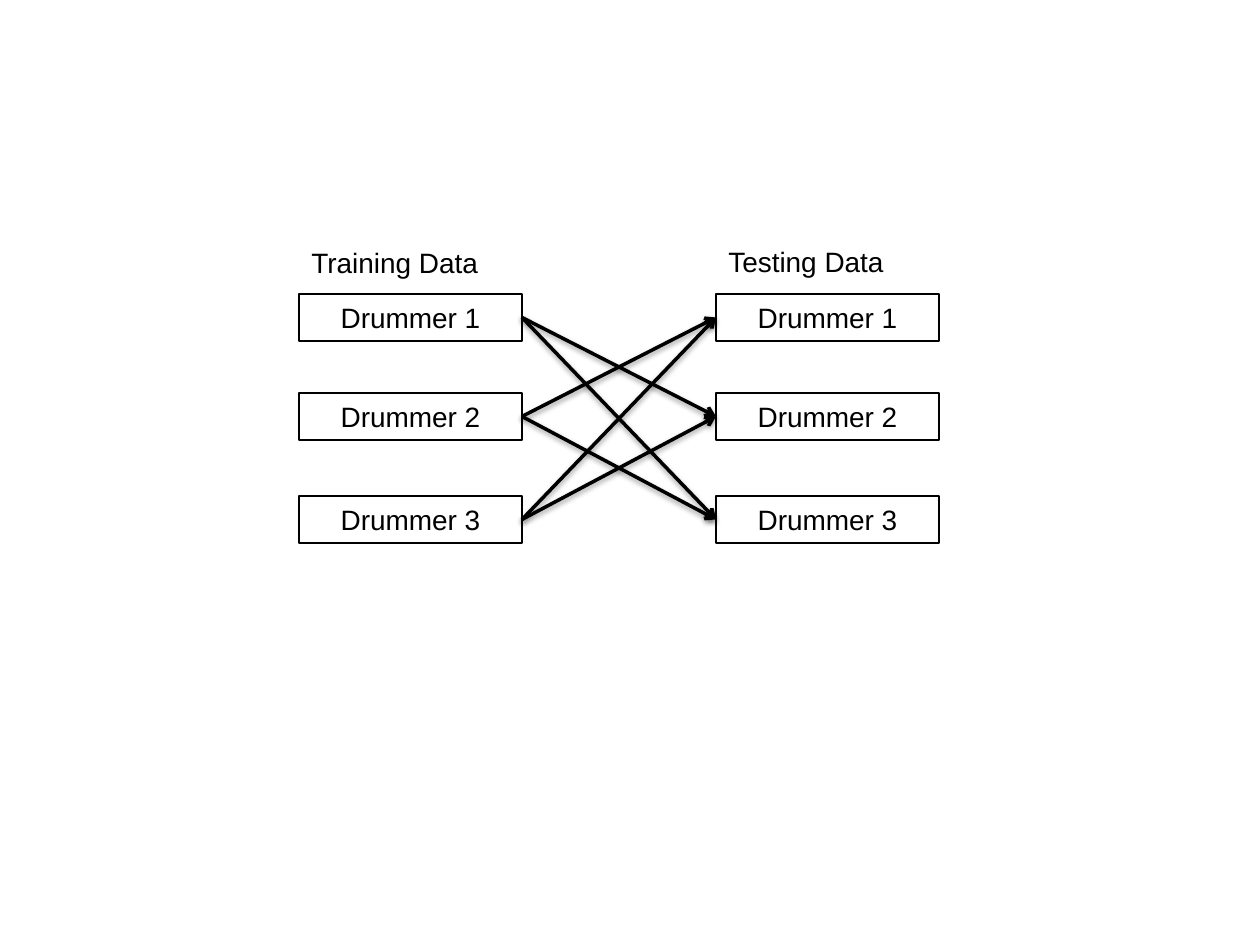
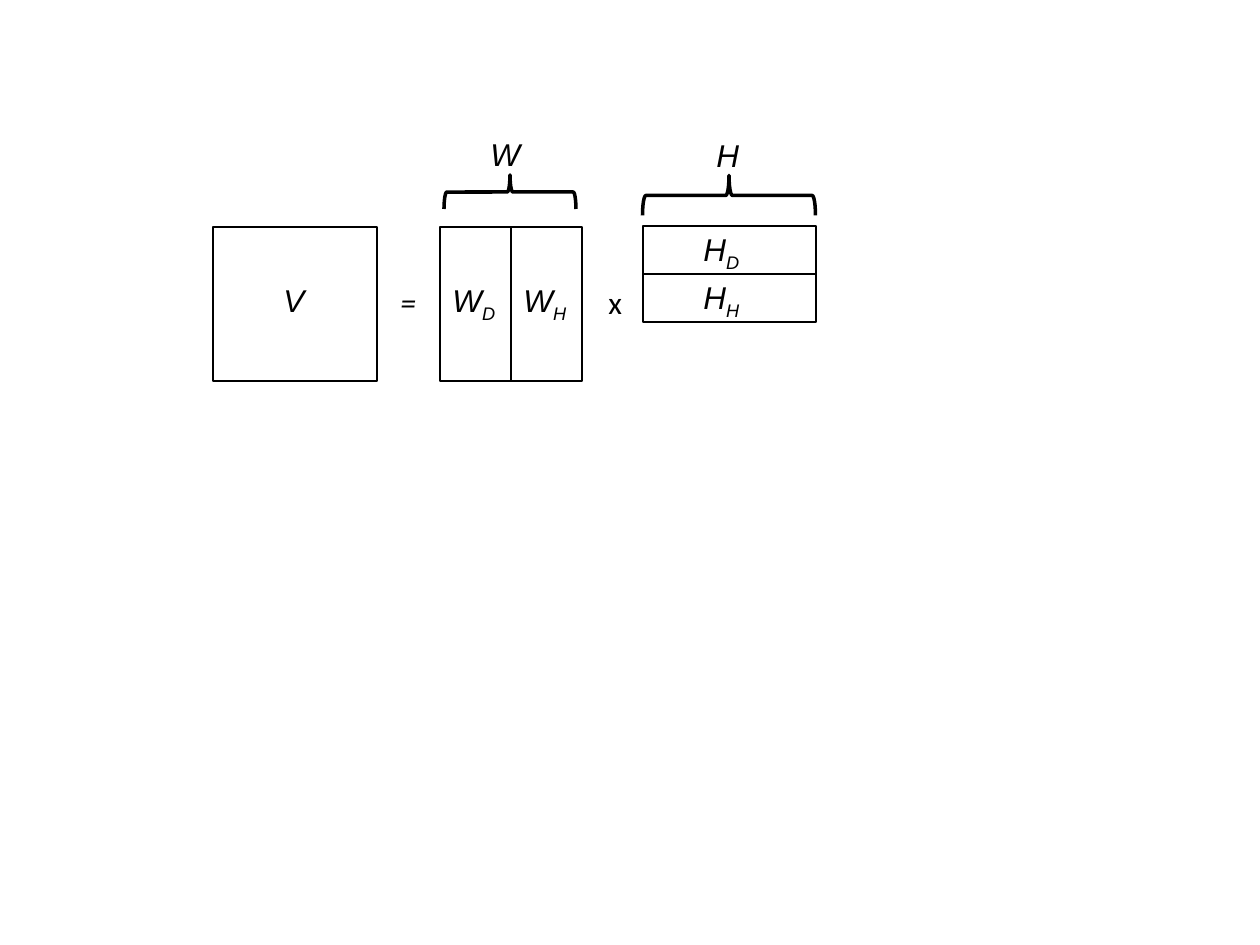
import itertools

import lxml.etree
import pptx
import pptx.dml.color
import pptx.enum.shapes
import pptx.enum.text
import pptx.oxml
import pptx.oxml.ns
import pptx.util

# Shared look
PX = 914400 // 126
INK = "000000"
THIN, THICK = 0.75, 2
SHAPES = pptx.enum.shapes.MSO_SHAPE
ALIGN = pptx.enum.text.PP_ALIGN

# Slide 1: every drummer is tested on the models of the other two
DRUMMERS = [("Drummer 1", 294), ("Drummer 2", 393), ("Drummer 3", 496)]
DRUMMER_SIZE = (223, 47)
COLUMNS = [  # heading, left, heading top, heading width
    ("Training Data", 299, 239, 194),
    ("Testing Data", 716, 238, 183),
]
LEFT_SITE, RIGHT_SITE = 1, 3

# Slide 2: V = W x H, as left, top, width, height
MATRICES = [
    (213, 227, 164, 154),
    (440, 227, 71, 154), (511, 227, 71, 154),
    (643, 226, 173, 48), (643, 274, 173, 48),
]
BRACES = [(444, 175, 132, 34), (643, 175, 173, 40)]
SYMBOLS = [  # letter, subscript, left, top, width
    ("V", "", 271, 275, 55),
    ("W", "D", 440, 275, 77), ("W", "H", 511, 275, 77),
    ("H", "D", 691, 224, 71), ("H", "H", 691, 272, 71),
    ("W", "", 478, 129, 62), ("H", "", 704, 130, 54),
]
OPERATORS = [("=", True, 388, 277, 50), ("x", False, 596, 277, 39)]
SYMBOL_HEIGHT = 50


def colour(value):
    return pptx.dml.color.RGBColor.from_string(value)


def px(*lengths):
    return [pptx.util.Emu(length * PX) for length in lengths]


def add_outline(slide, preset, box, weight):
    shape = slide.shapes.add_shape(preset, *px(*box))
    shape.shadow.inherit = False
    shape.fill.background()
    shape.line.color.rgb = colour(INK)
    shape.line.width = pptx.util.Pt(weight)
    return shape


def write(shape, text, size, font="Arial", italic=False, subscript="",
          align=ALIGN.LEFT, wrap=False):
    frame = shape.text_frame
    frame.word_wrap = wrap
    frame.auto_size = pptx.enum.text.MSO_AUTO_SIZE.SHAPE_TO_FIT_TEXT
    paragraph = frame.paragraphs[0]
    paragraph.alignment = align
    paragraph.font.name = font
    paragraph.font.size = pptx.util.Pt(size)
    paragraph.font.italic = italic
    paragraph.font.color.rgb = colour(INK)
    paragraph.add_run().text = text
    if subscript:
        run = paragraph.add_run()
        run.text = subscript
        run._r.get_or_add_rPr().set("baseline", "-25000")


def add_label(slide, box, text, size, **style):
    write(slide.shapes.add_textbox(*px(*box)), text, size, **style)


def add_arrow(slide, source, target):
    arrow = slide.shapes.add_connector(
        pptx.enum.shapes.MSO_CONNECTOR.STRAIGHT, 0, 0, 0, 0)
    arrow.begin_connect(source, RIGHT_SITE)
    arrow.end_connect(target, LEFT_SITE)
    arrow.line.color.rgb = colour(INK)
    arrow.line.width = pptx.util.Pt(THICK)
    # Arrowhead and soft shadow below the line
    lxml.etree.SubElement(arrow.line._get_or_add_ln(),
                          pptx.oxml.ns.qn("a:tailEnd"), type="arrow")
    arrow._element.spPr.append(pptx.oxml.parse_xml(
        f'<a:effectLst {pptx.oxml.ns.nsdecls("a")}>'
        '<a:outerShdw blurRad="40000" dist="20000" dir="5400000" rotWithShape="0">'
        f'<a:srgbClr val="{INK}"><a:alpha val="38000"/></a:srgbClr>'
        '</a:outerShdw></a:effectLst>'))


def build_cross_validation(slide):
    columns = []
    for heading, left, top, width in COLUMNS:
        add_label(slide, (left, top, width, DRUMMER_SIZE[1]), heading, 16)
        boxes = []
        for name, box_top in DRUMMERS:
            box = add_outline(slide, SHAPES.RECTANGLE,
                              (left, box_top, *DRUMMER_SIZE), THIN)
            write(box, name, 16, align=ALIGN.CENTER, wrap=True)
            boxes.append(box)
        columns.append(boxes)
    training, testing = columns
    for source, target in itertools.permutations(range(len(DRUMMERS)), 2):
        add_arrow(slide, training[source], testing[target])


def build_factorization(slide):
    for box in MATRICES:
        add_outline(slide, SHAPES.RECTANGLE, box, THIN)
    # A left brace turned upright keeps its centre, with its sides swapped
    for left, top, width, height in BRACES:
        shift = (width - height) // 2
        brace = add_outline(slide, SHAPES.LEFT_BRACE,
                            (left + shift, top - shift, height, width), THICK)
        brace.rotation = 90
    for letter, subscript, left, top, width in SYMBOLS:
        add_label(slide, (left, top, width, SYMBOL_HEIGHT), letter, 18,
                  italic=True, subscript=subscript)
    for sign, italic, left, top, width in OPERATORS:
        add_label(slide, (left, top, width, SYMBOL_HEIGHT), sign, 18,
                  font="Calibri", italic=italic)


def main():
    presentation = pptx.Presentation()
    presentation.slide_width, presentation.slide_height = px(1260, 945)
    blank = presentation.slide_layouts[6]
    for build in (build_cross_validation, build_factorization):
        build(presentation.slides.add_slide(blank))
    presentation.save("out.pptx")


if __name__ == "__main__":
    main()
